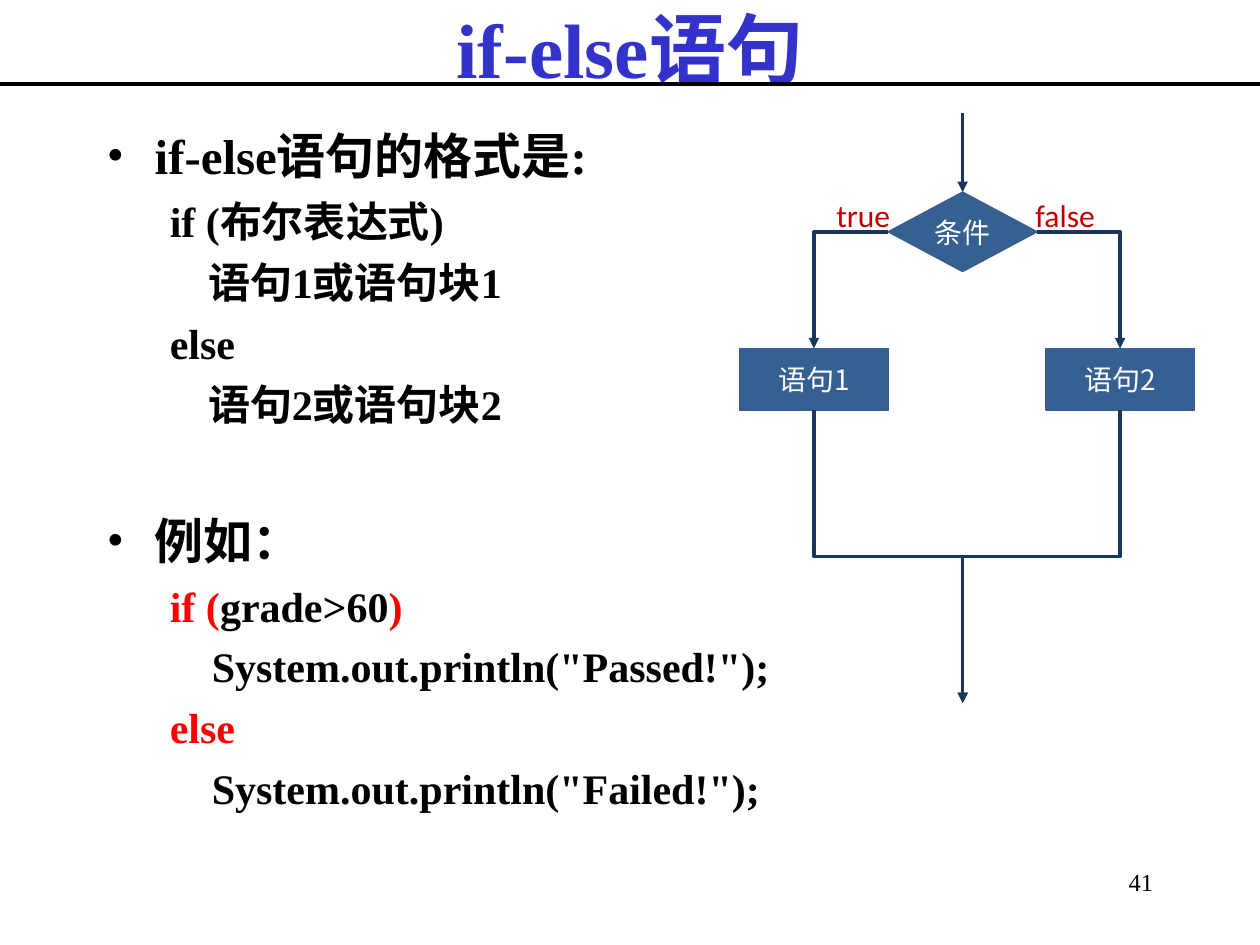
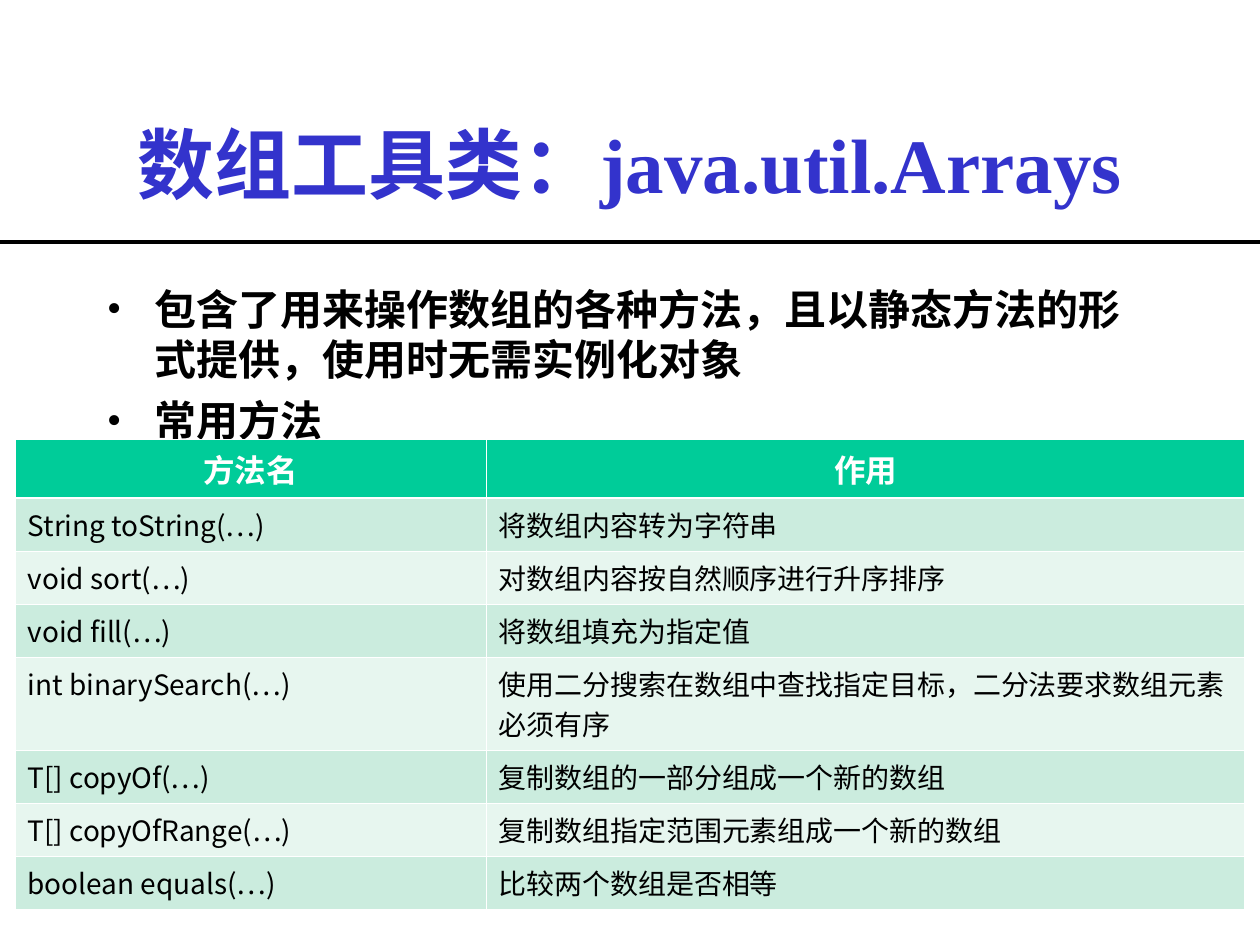
from dataclasses import dataclass

from lxml import etree
from pptx import Presentation
from pptx.dml.color import RGBColor
from pptx.enum.shapes import MSO_CONNECTOR, MSO_SHAPE
from pptx.enum.text import MSO_ANCHOR, MSO_AUTO_SIZE, PP_ALIGN
from pptx.oxml.ns import qn
from pptx.util import Inches, Pt

STRAIGHT, ELBOW = MSO_CONNECTOR.STRAIGHT, MSO_CONNECTOR.ELBOW
DIAMOND, RECT = MSO_SHAPE.DIAMOND, MSO_SHAPE.RECTANGLE
LEFT, CENTER, RIGHT = PP_ALIGN.LEFT, PP_ALIGN.CENTER, PP_ALIGN.RIGHT
TOP, MIDDLE = MSO_ANCHOR.TOP, MSO_ANCHOR.MIDDLE
TITLE_ONLY = 5
COLS, ROWS = 10, 7.5  # the slide grid; every position below is in its cells
CELL = Inches(1)


@dataclass(frozen=True)
class Theme:
    serif: str = "Times New Roman"
    sans: str = "Noto Sans CJK SC"
    label_font: str = "Calibri"
    ink: str = "000000"
    paper: str = "FFFFFF"
    title: str = "3333CC"
    keyword: str = "FF0000"
    branch: str = "C00000"
    node: str = "376092"
    node_edge: str = "385D8A"
    flow: str = "17375E"
    header: str = "00CC99"
    bands: tuple = ("CBECDE", "E7F6EF")
    title_size: int = 44
    lead_size: int = 28
    body_size: int = 24
    label_size: int = 18
    small_size: int = 16
    number_size: int = 14


T = Theme()

FORMAT_LINES = [
    "if (布尔表达式)",
    "    语句1或语句块1",
    "else",
    "    语句2或语句块2",
]
EXAMPLE_LINES = [
    [("if (", T.keyword), ("grade>60", T.ink), (")", T.keyword)],
    '    System.out.println("Passed!");',
    [("else", T.keyword)],
    '    System.out.println("Failed!");',
]
ARRAY_POINTS = [
    "包含了用来操作数组的各种方法，且以静态方法的形式提供，使用时无需实例化对象",
    "常用方法",
]
METHODS = [
    ("方法名", "作用"),
    ("String toString(…)", "将数组内容转为字符串"),
    ("void sort(…)", "对数组内容按自然顺序进行升序排序"),
    ("void fill(…)", "将数组填充为指定值"),
    ("int binarySearch(…)", "使用二分搜索在数组中查找指定目标，二分法要求数组元素必须有序"),
    ("T[] copyOf(…)", "复制数组的一部分组成一个新的数组"),
    ("T[] copyOfRange(…)", "复制数组指定范围元素组成一个新的数组"),
    ("boolean equals(…)", "比较两个数组是否相等"),
]


def grid(*cells):
    return [int(c * CELL) for c in cells]


def rgb(color):
    return RGBColor.from_string(color)


def set_attrs(obj, values):
    for name, value in values.items():
        setattr(obj, name, value)


def add_run(p, text, size, color=T.ink, font=T.serif, bold=False):
    r = p.add_run()
    r.text = text
    set_attrs(r.font, {"size": Pt(size), "bold": bold, "name": font})
    r.font.color.rgb = rgb(color)
    east_asian = T.label_font if font == T.label_font else T.sans
    r.font.color  # the fill precedes the font elements
    etree.SubElement(r._r.get_or_add_rPr(), qn("a:ea"), typeface=east_asian)


def set_text(tf, text, align=LEFT, anchor=TOP, **style):
    """Fill a frame with one formatted paragraph."""
    tf.vertical_anchor = anchor
    p = tf.paragraphs[0]
    p.alignment = align
    add_run(p, text, **style)


def add_box(s, at, wrap=True, margins=(0.1, 0.05, 0.1, 0.05)):
    tf = s.shapes.add_textbox(*grid(*at)).text_frame
    left, top, right, bottom = grid(*margins)
    set_attrs(tf, {"word_wrap": wrap, "auto_size": MSO_AUTO_SIZE.NONE,
                   "margin_left": left, "margin_top": top,
                   "margin_right": right, "margin_bottom": bottom})
    return tf


def add_line(s, start, end, color, width, kind=STRAIGHT, arrow=False):
    c = s.shapes.add_connector(kind, *grid(*start, *end))
    c.line.color.rgb = rgb(color)
    c.line.width = Pt(width)
    etree.SubElement(c._element.spPr, qn("a:effectLst"))
    if arrow:
        etree.SubElement(c.line._get_or_add_ln(), qn("a:tailEnd"), type="triangle")
    return c


def add_flow(s, start, end, kind=STRAIGHT):
    return add_line(s, start, end, T.flow, 2, kind, arrow=True)


def add_side_branch(s, start, end):
    """Arrow that runs sideways, then down."""
    c = add_flow(s, start, end, ELBOW)
    c._element.spPr.find(qn("a:prstGeom")).set("prst", "bentConnector2")


def add_merge(s, start, end):
    """Arrow that runs down, sideways at half height, then down."""
    c = add_flow(s, start, end, ELBOW)
    (x1, y1), (x2, y2) = start, end
    across, down = abs(x2 - x1), y2 - y1
    box = grid((x1 + x2 - down) / 2, (y1 + y2 - across) / 2, down, across)
    set_attrs(c, dict(zip(("left", "top", "width", "height"), box)))
    xfrm = c._element.spPr.find(qn("a:xfrm"))
    xfrm.attrib.clear()
    xfrm.set("rot", str((270 if x2 > x1 else 90) * 60000))
    if x2 > x1:
        xfrm.set("flipH", "1")


def add_node(s, kind, text, center, size):
    (x, y), (w, h) = center, size
    shape = s.shapes.add_shape(kind, *grid(x - w / 2, y - h / 2, w, h))
    shape.shadow.inherit = False
    shape.fill.solid()
    shape.fill.fore_color.rgb = rgb(T.node)
    shape.line.color.rgb = rgb(T.node_edge)
    shape.line.width = Pt(0.85)
    tf = shape.text_frame
    set_attrs(tf, dict.fromkeys(
        ("margin_left", "margin_top", "margin_right", "margin_bottom"), 0))
    set_text(tf, text, CENTER, MIDDLE, size=T.small_size, color=T.paper, font=T.sans)


def add_titled_slide(prs, title, top, height):
    """Title with a full-width rule along its lower edge."""
    s = prs.slides.add_slide(prs.slide_layouts[TITLE_ONLY])
    shape = s.shapes.title
    box = grid(0.75, top, 8.5, height)
    set_attrs(shape, dict(zip(("left", "top", "width", "height"), box)))
    shape.text_frame.auto_size = MSO_AUTO_SIZE.NONE
    set_text(shape.text_frame, title, CENTER, MIDDLE,
             size=T.title_size, color=T.title, bold=True)
    rule_y = top + height
    add_line(s, (0, rule_y), (COLS, rule_y), T.ink, 2.25)
    return s


def add_body(s, top, height):
    return add_box(s, (0.75, top, 8.5, height), margins=(0.1, 0.08, 0.1, 0.05))


def add_paragraph(tf, content, size, margin, hanging, before):
    """Append a bold paragraph; content is a string or (text, colour) runs."""
    p = tf.paragraphs[0]
    first = not p.runs
    if not first:
        p = tf.add_paragraph()
    set_attrs(p, {"space_before": Pt(0 if first else before),
                  "line_spacing": Pt(size * 1.2)})
    pPr = p._p.get_or_add_pPr()
    pPr.set("marL", str(Inches(margin)))
    pPr.set("indent", str(-Inches(hanging)))
    runs = [(content, T.ink)] if isinstance(content, str) else content
    for text, color in runs:
        add_run(p, text, size, color, bold=True)
    return pPr


def add_bullet(tf, text, size, before):
    pPr = add_paragraph(tf, text, size, 0.38, 0.38, before)
    color = etree.SubElement(pPr, qn("a:buClr"))
    etree.SubElement(color, qn("a:srgbClr"), val=T.ink)
    etree.SubElement(pPr, qn("a:buFont"), typeface=T.serif)
    etree.SubElement(pPr, qn("a:buChar"), char="•")


def add_code(tf, lines):
    for line in lines:
        add_paragraph(tf, line, T.body_size, 0.81, 0.31, 6)


def add_flowchart(s):
    left, middle, right = 6.46, 7.64, 8.89
    test_y, step_y, end_y = 1.84, 3.01, 5.58
    test_size, step_size = (1.18, 0.63), (1.18, 0.49)
    half = test_size[0] / 2

    add_node(s, DIAMOND, "条件", (middle, test_y), test_size)
    add_flow(s, (middle, 0.9), (middle, test_y - test_size[1] / 2))
    branches = [(left, -1, "语句1", "true", 6.54), (right, 1, "语句2", "false", 8.12)]
    for x, side, step, label, label_x in branches:
        add_node(s, RECT, step, (x, step_y), step_size)
        tf = add_box(s, (label_x, 1.51, 0.67, 0.4), wrap=False)
        set_text(tf, label, size=T.label_size, color=T.branch, font=T.label_font)
        add_side_branch(s, (middle + side * half, test_y),
                        (x, step_y - step_size[1] / 2))
        add_merge(s, (x, step_y + step_size[1] / 2), (middle, end_y))


def set_borders(cell, widths):
    """Draw white borders; widths maps an edge tag to points."""
    tcPr = cell._tc.get_or_add_tcPr()
    for i, (edge, width) in enumerate(widths.items()):
        ln = etree.Element(qn("a:" + edge), w=str(Pt(width)))
        fill = etree.SubElement(ln, qn("a:solidFill"))
        etree.SubElement(fill, qn("a:srgbClr"), val=T.paper)
        tcPr.insert(i, ln)


def add_method_table(s, rows):
    widths, heights = (3.74, 6.02), [0.4] + [0.38] * (len(rows) - 1)
    heights[4] = 0.63
    frame = s.shapes.add_table(len(rows), len(widths),
                               *grid(0.12, 3.49, sum(widths), sum(heights)))
    table = frame.table
    for column, width in zip(table.columns, grid(*widths)):
        column.width = width
    for i, (row, height) in enumerate(zip(rows, grid(*heights))):
        table.rows[i].height = height
        head = i == 0
        for j, text in enumerate(row):
            cell = table.cell(i, j)
            cell.fill.solid()
            cell.fill.fore_color.rgb = rgb(T.header if head else T.bands[(i - 1) % 2])
            set_borders(cell, {"lnL": 0.45, "lnR": 0.45,
                               "lnT": 1.47 if i == 1 else 0.45,
                               "lnB": 1.47 if head else 0.45})
            set_text(cell.text_frame, text, CENTER if head else LEFT,
                     size=T.label_size if head else T.small_size,
                     color=T.paper if head else T.ink, font=T.sans, bold=head)


def build_if_else(prs):
    s = add_titled_slide(prs, "if-else语句", 0.08, 0.59)
    tf = add_body(s, 0.92, 5.58)
    add_bullet(tf, "if-else语句的格式是:", T.lead_size, 0)
    add_code(tf, FORMAT_LINES)
    add_bullet(tf, "例如：", T.lead_size, 47)
    add_code(tf, EXAMPLE_LINES)
    add_flowchart(s)
    set_text(add_box(s, (8.17, 6.83, 1.08, 0.5)), "41", RIGHT, size=T.number_size)


def build_arrays(prs):
    s = add_titled_slide(prs, "数组工具类：java.util.Arrays", 0.67, 1.25)
    tf = add_body(s, 2.17, 1.51)
    for point in ARRAY_POINTS:
        add_bullet(tf, point, T.body_size, 6)
    add_method_table(s, METHODS)


def main():
    prs = Presentation()
    prs.slide_width, prs.slide_height = grid(COLS, ROWS)
    build_if_else(prs)
    build_arrays(prs)
    prs.save("out.pptx")


if __name__ == "__main__":
    main()
